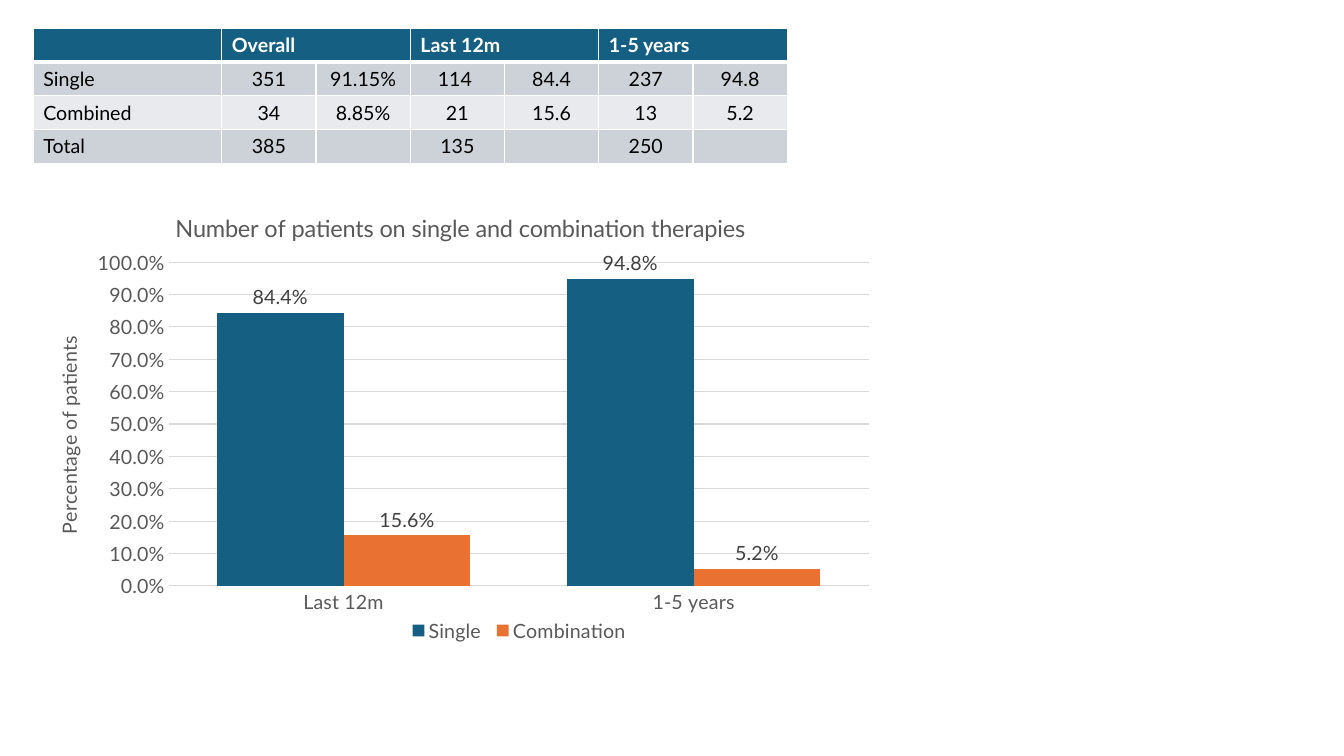
from lxml import etree
from pptx import Presentation
from pptx import util as u
from pptx.chart import data as chart_data
from pptx.dml import color
from pptx.enum import chart as chart_enum
from pptx.enum import text
from pptx.oxml import ns

FONT = "Lato"
COLOURS = {
    "single": "156082",
    "combination": "E97132",
    "band": "CCD2D8",
    "light_band": "E8EAED",
    "white": "FFFFFF",
    "black": "000000",
    "axis_text": "595959",
    "label_text": "404040",
    "grid": "D9D9D9",
}
HEADER = ["", "Overall", "", "Last 12m", "", "1-5 years", ""]
BODY = [
    ["Single", "351", "91.15%", "114 ", "84.4", "237", "94.8"],
    ["Combined", "34", "8.85%", "21", "15.6", "13", "5.2"],
    ["Total", "385", "", "135", "", "250", ""],
]
PERIODS = ["Last 12m", "1-5 years"]
SERIES = [
    ("Single", (0.844, 0.948), "single"),
    ("Combination", (0.156, 0.052), "combination"),
]
# Place of each chart part as fractions of the chart: x, y and, if fixed, w, h
LAYOUTS = {
    "c:chart/c:title": (0.17, 0.05),
    "c:chart/c:plotArea": (0.167, 0.164, 0.815, 0.673),
    "c:chart//c:valAx/c:title": (0.03, 0.31),
    "c:chart/c:legend": (0.44, 0.9, 0.27, 0.06),
}


def rgb(name):
    return color.RGBColor.from_string(COLOURS[name])


def style_font(font, colour, size=14, bold=False):
    values = {"name": FONT, "size": u.Pt(size), "bold": bold}
    for attribute, value in values.items():
        setattr(font, attribute, value)
    font.color.rgb = rgb(colour)


def style_line(line, colour):
    line.color.rgb = rgb(colour)
    line.width = u.Pt(0.75)


def add_borders(properties, bottom_width):
    """Put white borders before the fill in the cell properties."""
    widths = {"lnL": 1, "lnR": 1, "lnT": 1, "lnB": bottom_width}
    for index, (side, width) in enumerate(widths.items()):
        line = etree.Element(ns.qn(f"a:{side}"), w=str(u.Pt(width)))
        fill = etree.SubElement(line, ns.qn("a:solidFill"))
        etree.SubElement(fill, ns.qn("a:srgbClr"), val=COLOURS["white"])
        properties.insert(index, line)


def fill_cell(cell, words, fill, font_colour, header, centred):
    cell.fill.solid()
    cell.fill.fore_color.rgb = rgb(fill)
    add_borders(cell.fill._xPr, 3 if header else 1)
    paragraph = cell.text_frame.paragraphs[0]
    if centred:
        paragraph.alignment = text.PP_ALIGN.CENTER
    if words:
        run = paragraph.add_run()
        run.text = words
        style_font(run.font, font_colour, bold=header)
    else:
        etree.SubElement(paragraph._p, ns.qn("a:endParaRPr"), sz="1400")


def add_therapy_table(slide):
    rows = [HEADER] + BODY
    frame = slide.shapes.add_table(
        len(rows), len(HEADER),
        u.Inches(0.33), u.Inches(0.28), u.Inches(7.48), u.Inches(1.33))
    table = frame.table
    label_width = u.Inches(1.87)
    for index, column in enumerate(table.columns):
        column.width = label_width // 2 if index else label_width
    for row_index, row in enumerate(rows):
        header = row_index == 0
        band = "band" if row_index % 2 else "light_band"
        for column_index, words in enumerate(row):
            fill_cell(
                table.cell(row_index, column_index), words,
                "single" if header else band,
                "white" if header else "black",
                header, not header and column_index > 0)
    for first in range(1, len(HEADER), 2):
        table.cell(0, first).merge(table.cell(0, first + 1))


def set_title(owner, words, size):
    """Title a chart or an axis."""
    frame = owner.text_frame
    frame.text = words
    style_font(frame.paragraphs[0].runs[0].font, "axis_text", size)


def place_chart_parts(chart):
    for query, fractions in LAYOUTS.items():
        part = chart.element.xpath(query)[0]
        for old in part.findall(ns.qn("c:layout")):
            part.remove(old)
        layout = etree.Element(ns.qn("c:layout"))
        manual = etree.SubElement(layout, ns.qn("c:manualLayout"))
        is_plot = query.endswith("plotArea")
        if is_plot:
            etree.SubElement(manual, ns.qn("c:layoutTarget"), val="inner")
        for mode in ("xMode", "yMode"):
            etree.SubElement(manual, ns.qn(f"c:{mode}"), val="edge")
        for name, value in zip("xywh", fractions):
            etree.SubElement(manual, ns.qn(f"c:{name}"), val=str(value))
        part.insert(0 if is_plot else 1, layout)


def style_axes(chart):
    category, value = chart.category_axis, chart.value_axis
    for axis in (category, value):
        axis.major_tick_mark = chart_enum.XL_TICK_MARK.NONE
        axis.minor_tick_mark = chart_enum.XL_TICK_MARK.NONE
        style_font(axis.tick_labels.font, "axis_text")
    style_line(category.format.line, "grid")
    value.format.line.fill.background()
    style_line(value.major_gridlines.format.line, "grid")
    limits = {"minimum_scale": 0, "maximum_scale": 1, "major_unit": 0.1}
    for attribute, limit in limits.items():
        setattr(value, attribute, limit)
    value.tick_labels.number_format = "0.0%"
    value.tick_labels.number_format_is_linked = False
    set_title(value.axis_title, "Percentage of patients", 14)


def style_series(plot):
    plot.gap_width = 76
    plot.overlap = 0
    plot.vary_by_categories = False
    for series, (_, _, colour) in zip(plot.series, SERIES):
        series.format.fill.solid()
        series.format.fill.fore_color.rgb = rgb(colour)
        labels = series.data_labels
        values = {
            "show_value": True,
            "number_format": "0.0%",
            "number_format_is_linked": False,
            "position": chart_enum.XL_LABEL_POSITION.OUTSIDE_END,
        }
        for attribute, value in values.items():
            setattr(labels, attribute, value)
        style_font(labels.font, "label_text")


def add_therapy_chart(slide):
    data = chart_data.CategoryChartData(number_format="0.0%")
    data.categories = PERIODS
    for name, shares, _ in SERIES:
        data.add_series(name, shares)
    chart = slide.shapes.add_chart(
        chart_enum.XL_CHART_TYPE.COLUMN_CLUSTERED,
        u.Inches(0.25), u.Inches(1.82), u.Inches(8.52), u.Inches(4.77),
        data).chart
    style_font(chart.font, "black")
    set_title(chart.chart_title,
              "Number of patients on single and combination therapies", 16.8)
    style_axes(chart)
    style_series(chart.plots[0])
    chart.has_legend = True
    chart.legend.position = chart_enum.XL_LEGEND_POSITION.BOTTOM
    chart.legend.include_in_layout = False
    style_font(chart.legend.font, "axis_text")
    place_chart_parts(chart)


def main():
    presentation = Presentation()
    presentation.slide_width = u.Inches(13.33)
    presentation.slide_height = u.Inches(7.5)
    slide = presentation.slides.add_slide(presentation.slide_layouts[6])
    add_therapy_chart(slide)
    add_therapy_table(slide)
    presentation.save("out.pptx")


if __name__ == "__main__":
    main()
